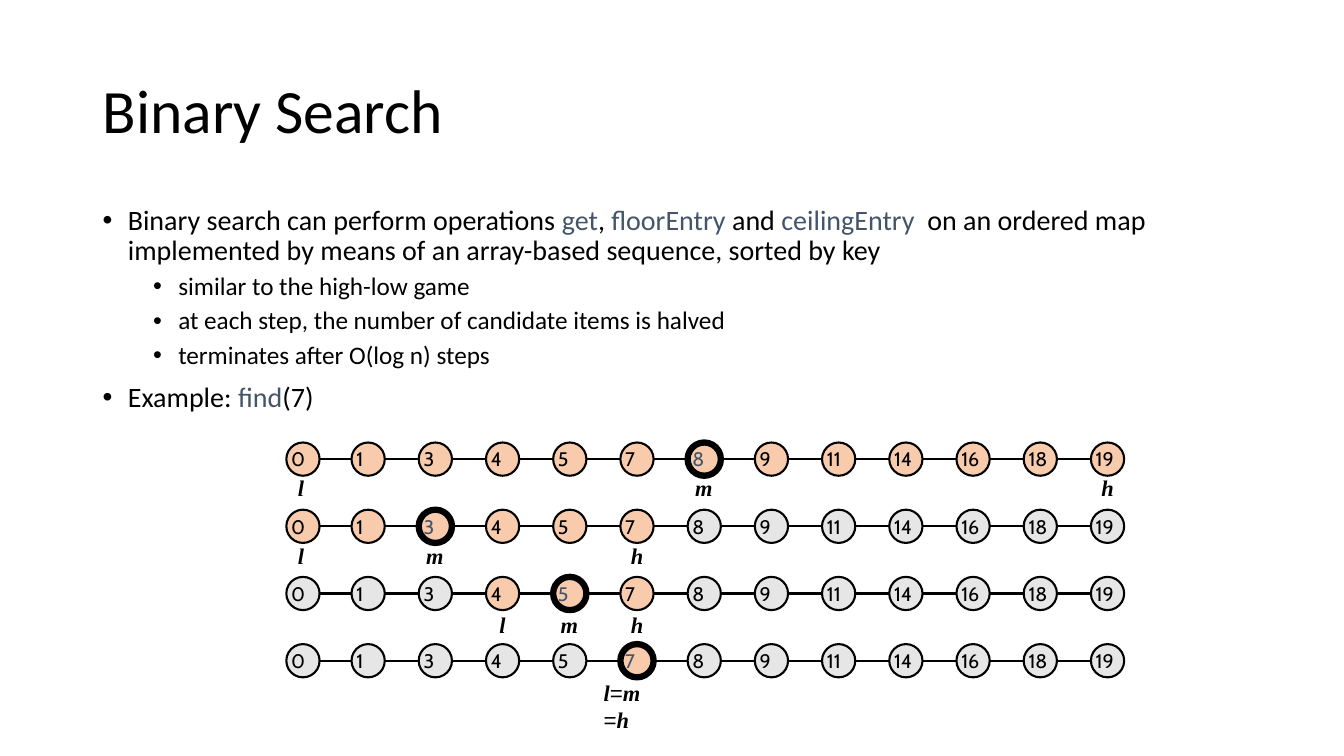
import pptx
import pptx.dml.color
import pptx.enum.shapes
import pptx.enum.text
import pptx.oxml
import pptx.oxml.ns
import pptx.util

Inches, Pt = pptx.util.Inches, pptx.util.Pt

COLORS = {
    "ink": "000000",
    "keyword": "44546A",
    "candidate": "F8CBAD",
    "discarded": "E7E6E6",
}
TEXT_FONT, KEY_FONT, LABEL_FONT, EQUALS_FONT = "Calibri", "Cabin", "Times New Roman", "Arial"

KEYS = [0, 1, 3, 4, 5, 7, 8, 9, 11, 14, 16, 18, 19]
# Indices of low, middle and high in each step
STEPS = [(0, 6, 12), (0, 2, 5), (3, 4, 5), (5, 5, 5)]
PITCH, DIAMETER = 2 / 3, 0.33
FIRST_LEFT, FIRST_TOP = 2.82, 4.39
LABEL_TOP, LABEL_PITCH, LABEL_HEIGHT = 4.65, 0.68, 0.37
LABEL_WIDTHS = {"l": 0.26, "m": 0.38, "h": 0.32}

# Level and text pieces; every second piece is a keyword
BULLETS = [
    (0, ["Binary search can perform operations ", "get", ", ", "floorEntry", " and ", "ceilingEntry",
         "  on an ordered map implemented by means of an array-based sequence, sorted by key"]),
    (1, ["similar to the high-low game"]),
    (1, ["at each step, the number of candidate items is halved"]),
    (1, ["terminates after O(log n) steps"]),
    (0, ["Example: ", "find", "(7)"]),
]


def rgb(color):
    return pptx.dml.color.RGBColor.from_string(COLORS[color])


class SearchSlide:
    """Holds the current slide and draws its elements in one style."""

    def __init__(self, slide):
        self.slide = slide

    def style(self, run, size, font, color="ink", emphasis=False):
        run.font.size = Pt(size)
        run.font.name = font
        run.font.color.rgb = rgb(color)
        run.font.bold = run.font.italic = emphasis

    def text_frame(self, left, top, width, height, wrap=True):
        box = self.slide.shapes.add_textbox(Inches(left), Inches(top), Inches(width), Inches(height))
        box.text_frame.word_wrap = wrap
        return box.text_frame

    def title(self, text):
        frame = self.text_frame(0.92, 0.4, 11.5, 1.45)
        frame.vertical_anchor = pptx.enum.text.MSO_ANCHOR.MIDDLE
        frame.text = text
        frame.paragraphs[0].line_spacing = 0.9
        self.style(frame.paragraphs[0].runs[0], 44, TEXT_FONT)

    def bullets(self, items):
        frame = self.text_frame(0.92, 2, 11.5, 2.24)
        for number, (level, pieces) in enumerate(items):
            paragraph = frame.add_paragraph() if number else frame.paragraphs[0]
            paragraph.level = level
            paragraph.line_spacing = 0.9
            paragraph.space_before = Pt(5 if level else 10)
            self.bullet_mark(paragraph, 0.75 if level else 0.25)
            for position, piece in enumerate(pieces):
                run = paragraph.add_run()
                run.text = piece
                self.style(run, 18 if level else 20, TEXT_FONT, "keyword" if position % 2 else "ink")

    def bullet_mark(self, paragraph, indent):
        properties = paragraph._p.get_or_add_pPr()
        properties.set("marL", str(Inches(indent)))
        properties.set("indent", str(Inches(-0.25)))
        namespace = pptx.oxml.ns.nsdecls("a")
        for tag in ('buFont {} typeface="Arial"', 'buChar {} char="•"'):
            properties.append(pptx.oxml.parse_xml("<a:" + tag.format(namespace) + "/>"))

    def sequence_line(self, y):
        line = self.slide.shapes.add_connector(
            pptx.enum.shapes.MSO_CONNECTOR.STRAIGHT, Inches(3.09), Inches(y), Inches(10.82), Inches(y))
        line.line.color.rgb = rgb("ink")
        line.line.width = Pt(1.5)
        line._element.spPr.append(
            pptx.oxml.parse_xml("<a:effectLst " + pptx.oxml.ns.nsdecls("a") + "/>"))

    def key_circle(self, left, top, key, candidate, middle):
        circle = self.slide.shapes.add_shape(
            pptx.enum.shapes.MSO_SHAPE.OVAL, Inches(left), Inches(top), Inches(DIAMETER), Inches(DIAMETER))
        circle.shadow.inherit = False
        circle.fill.solid()
        circle.fill.fore_color.rgb = rgb("candidate" if candidate else "discarded")
        circle.line.color.rgb = rgb("ink")
        circle.line.width = Pt(4.5 if middle else 1.5)
        frame = circle.text_frame
        frame.margin_left = frame.margin_right = 0
        frame.word_wrap = False
        frame.vertical_anchor = pptx.enum.text.MSO_ANCHOR.MIDDLE
        frame.text = str(key)
        frame.paragraphs[0].alignment = pptx.enum.text.PP_ALIGN.LEFT
        self.style(frame.paragraphs[0].runs[0], 14, KEY_FONT, "keyword" if middle else "ink")

    def index_label(self, index, top, pieces, width, wrap=False):
        """Centre a label under the circle at the given index."""
        center = FIRST_LEFT + index * PITCH + DIAMETER / 2
        frame = self.text_frame(center - width / 2, top, width, LABEL_HEIGHT, wrap)
        frame.auto_size = pptx.enum.text.MSO_AUTO_SIZE.SHAPE_TO_FIT_TEXT
        for piece in pieces:
            run = frame.paragraphs[0].add_run()
            run.text = piece
            equals = piece == "="
            self.style(run, 16, EQUALS_FONT if equals else LABEL_FONT, emphasis=not equals)

    def search_step(self, number, low, middle, high):
        top = FIRST_TOP + number * PITCH
        self.sequence_line(top + DIAMETER / 2)
        for index, key in enumerate(KEYS):
            nudge = 0 if index else 0.02
            self.key_circle(FIRST_LEFT + index * PITCH + nudge, top, key,
                            low <= index <= high, index == middle)
        label_top = LABEL_TOP + number * LABEL_PITCH
        if low == high:
            self.index_label(middle, label_top, ["l", "=", "m ", "=", "h"], 0.86, wrap=True)
        else:
            for name, index in zip("lmh", (low, middle, high)):
                self.index_label(index, label_top, [name], LABEL_WIDTHS[name])


def main():
    presentation = pptx.Presentation()
    presentation.slide_width = Inches(13.33)
    presentation.slide_height = Inches(7.5)
    page = SearchSlide(presentation.slides.add_slide(presentation.slide_layouts[6]))
    page.title("Binary Search")
    page.bullets(BULLETS)
    for number, bounds in enumerate(STEPS):
        page.search_step(number, *bounds)
    presentation.save("out.pptx")


if __name__ == "__main__":
    main()
